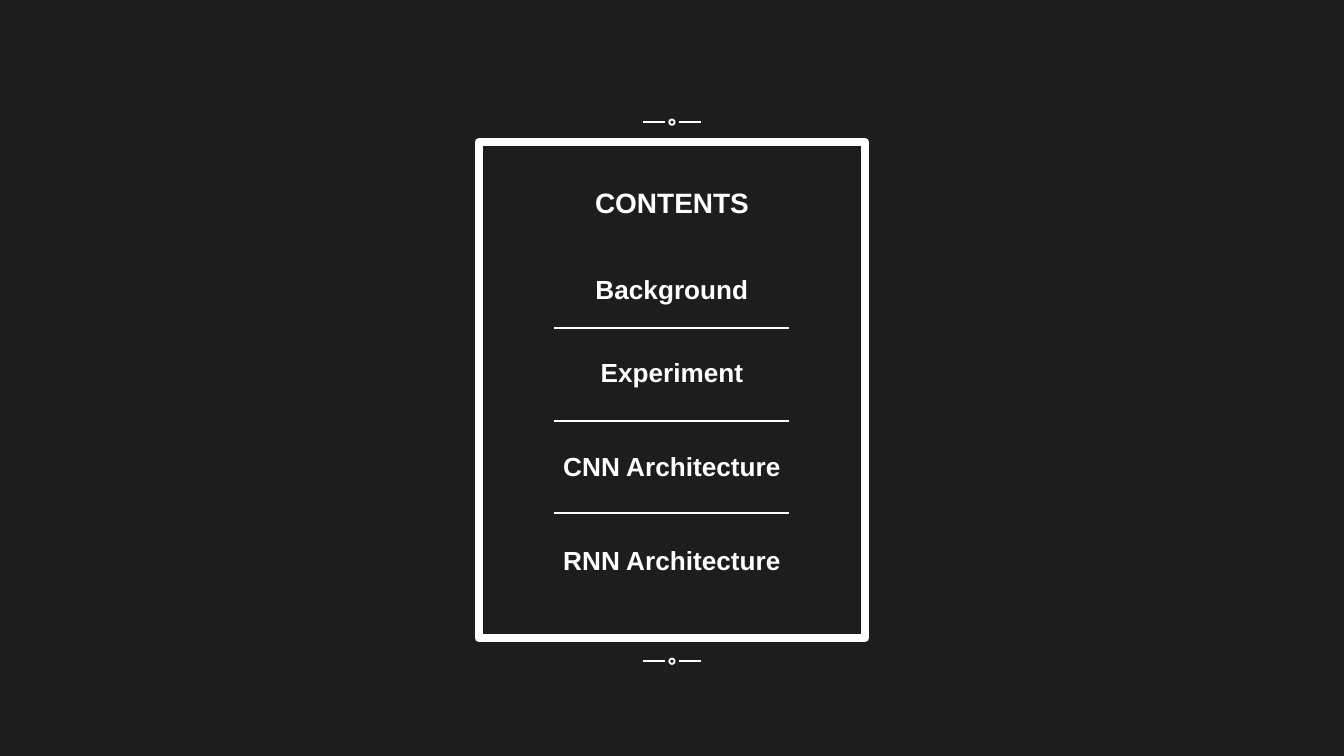
from pptx import Presentation
from pptx.dml.color import RGBColor
from pptx.enum.shapes import MSO_CONNECTOR, MSO_SHAPE
from pptx.enum.text import MSO_ANCHOR, MSO_AUTO_SIZE, PP_ALIGN
from pptx.oxml.ns import qn
from pptx.util import Cm, Pt
from lxml import etree

WHITE = "FFFFFF"
CENTER = 12.7


def color(hex_string):
    return RGBColor.from_string(hex_string)


def add_rule(left, right, y):
    rule = slide.shapes.add_connector(
        MSO_CONNECTOR.STRAIGHT, Cm(left), Cm(y), Cm(right), Cm(y))
    rule.line.color.rgb = color(WHITE)
    rule.line.width = Pt(1)
    etree.SubElement(rule._element.spPr, qn("a:effectLst"))


prs = Presentation()
prs.slide_width, prs.slide_height = Cm(2 * CENTER), Cm(14.29)
slide = prs.slides.add_slide(prs.slide_layouts[5])
slide.background.fill.solid()
slide.background.fill.fore_color.rgb = color("1D1D1D")

# Frame, and the small ring of each ornament
ornament_rows = [2.31, 12.5]
outlines = [(MSO_SHAPE.RECTANGLE, 2.69, 7.3, 9.37, 4.5)]
outlines += [(MSO_SHAPE.OVAL, y - 0.05, 0.1, 0.1, 1) for y in ornament_rows]
for preset, top, width, height, weight in outlines:
    outline = slide.shapes.add_shape(
        preset, Cm(CENTER - width / 2), Cm(top), Cm(width), Cm(height))
    outline.shadow.inherit = False
    outline.fill.background()
    outline.line.color.rgb = color(WHITE)
    outline.line.width = Pt(weight)

# Dashes on both sides of each ring
for y in ornament_rows:
    add_rule(CENTER - 0.54, CENTER - 0.13, y)
    add_rule(CENTER + 0.13, CENTER + 0.54, y)

# Dividers between the entries
for number in range(3):
    add_rule(CENTER - 2.22, CENTER + 2.22, 6.2 + 1.75 * number)

# Heading and entries: box, text, middle, size
entries = [("Background", 5.46), ("Experiment", 7.04),
           ("CNN Architecture", 8.81), ("RNN Architecture", 10.59)]
labels = [(slide.shapes.title, "CONTENTS", 3.82, 15)]
for entry, middle in entries:
    box = slide.shapes.add_textbox(0, 0, 0, 0)
    labels.append((box, entry, middle, 14))

for label, wording, middle, size in labels:
    label.left, label.top = Cm(CENTER - 3), Cm(middle - 0.4)
    label.width, label.height = Cm(6), Cm(0.8)
    frame = label.text_frame
    frame.text = wording
    frame.word_wrap = True
    frame.auto_size = MSO_AUTO_SIZE.NONE
    frame.vertical_anchor = MSO_ANCHOR.MIDDLE
    frame.margin_left = frame.margin_right = Cm(0.18)
    frame.margin_top = frame.margin_bottom = Cm(0.1)
    paragraph = frame.paragraphs[0]
    paragraph.alignment = PP_ALIGN.CENTER
    paragraph.font.name = "Arial"
    paragraph.font.size = Pt(size)
    paragraph.font.bold = True
    paragraph.font.color.rgb = color(WHITE)

prs.save("out.pptx")
